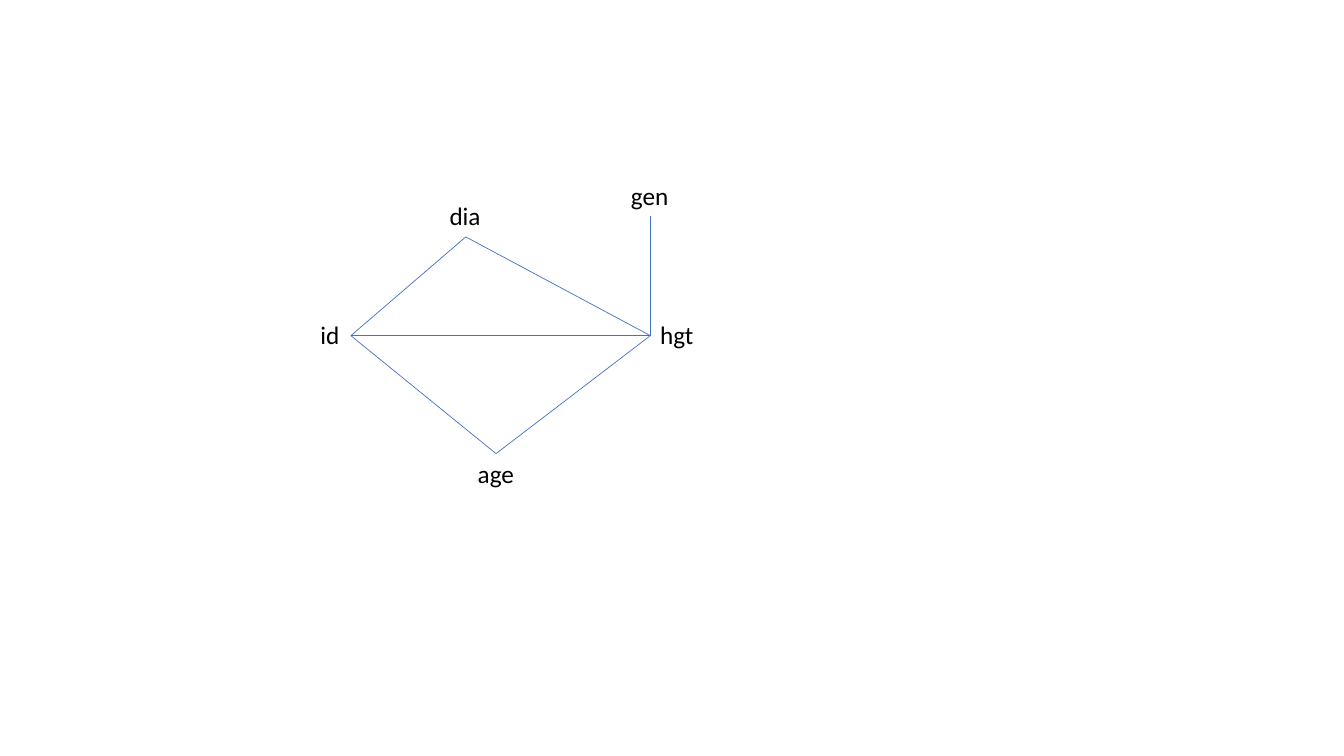
from pptx import Presentation
from pptx.dml.color import RGBColor
from pptx.enum.shapes import MSO_CONNECTOR
from pptx.enum.text import MSO_AUTO_SIZE
from pptx.oxml.ns import qn
from pptx.util import Inches, Pt
from lxml.etree import SubElement

theme = {
    "font": {"name": "Calibri", "size": Pt(18)},
    "text": RGBColor(0x00, 0x00, 0x00),
    "line": RGBColor(0x44, 0x72, 0xC4),
    "line_width": Pt(0.5),
}
frame_format = {"word_wrap": False, "auto_size": MSO_AUTO_SIZE.SHAPE_TO_FIT_TEXT}

label_height = 0.4
labels = {
    "dia": (4.36, 1.94, 0.51),
    "id": (3.08, 3.12, 0.39),
    "hgt": (6.45, 3.12, 0.53),
    "gen": (6.16, 1.74, 0.58),
    "age": (4.64, 4.5, 0.57),
}
nodes = {
    "dia": (4.62, 2.35),
    "id": (3.48, 3.33),
    "hgt": (6.45, 3.33),
    "gen": (6.45, 2.14),
    "age": (4.92, 4.5),
}
edges = [
    ("id", "hgt"),
    ("id", "dia"),
    ("dia", "hgt"),
    ("age", "hgt"),
    ("age", "id"),
    ("gen", "hgt"),
]

prs = Presentation()
prs.slide_width, prs.slide_height = Inches(13.33), Inches(7.5)
s = prs.slides.add_slide(prs.slide_layouts[6])
graph = s.shapes.add_group_shape()

for name, (left, top, width) in labels.items():
    sp = graph.shapes.add_textbox(
        Inches(left), Inches(top), Inches(width), Inches(label_height)
    )
    tf = sp.text_frame
    for key, value in frame_format.items():
        setattr(tf, key, value)
    r = tf.paragraphs[0].add_run()
    r.text = name
    for key, value in theme["font"].items():
        setattr(r.font, key, value)
    r.font.color.rgb = theme["text"]

for start, end in edges:
    points = [Inches(v) for v in nodes[start] + nodes[end]]
    sp = graph.shapes.add_connector(MSO_CONNECTOR.STRAIGHT, *points)
    sp.line.color.rgb = theme["line"]
    sp.line.width = theme["line_width"]
    SubElement(sp._element.spPr, qn("a:effectLst"))

prs.save("out.pptx")
